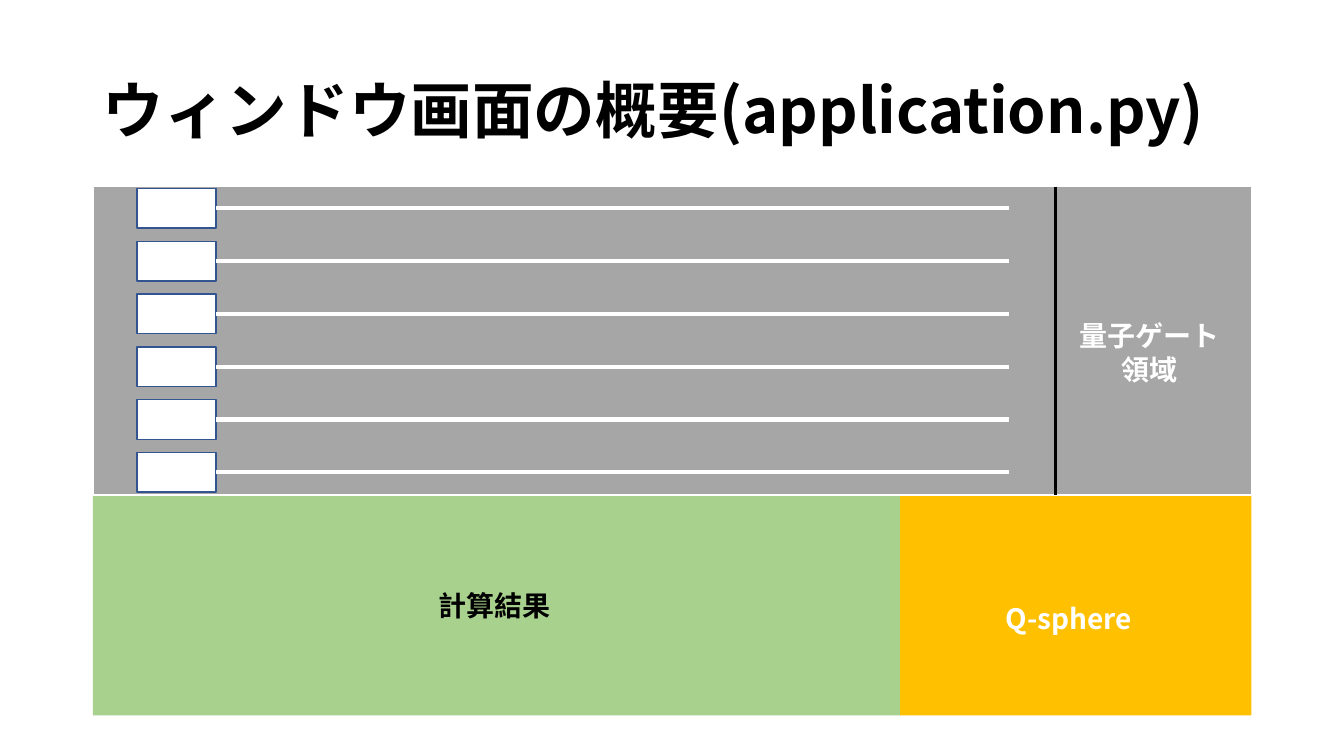
from pptx import Presentation
from pptx import util as u
from pptx.dml.color import RGBColor
from pptx.enum import shapes, text
from pptx.oxml.ns import qn
from lxml import etree

FONT = "Noto Sans CJK JP"
LEFT, TOP, MIDDLE, WIDTH = 2.34, 4.7, 12.48, 29.2
LOWER_HEIGHT, RESULT_WIDTH, DIVIDER_X = 5.55, 20.34, 26.42
QUBITS, QUBIT_LEFT, QUBIT_TOP, QUBIT_PITCH = 6, 3.45, 4.75, 1.33
QUBIT_WIDTH, QUBIT_HEIGHT, WIRE_END = 2, 1, 25.43


def color(value):
    """Turn a hex string into a colour."""
    return RGBColor.from_string(value)


def add_text(s, content, x, y, w, h, size=20, fill="000000",
             align=text.PP_ALIGN.LEFT, anchor=text.MSO_ANCHOR.TOP, spacing=1.0):
    """Add a bold text box with one paragraph per line of content."""
    tf = s.shapes.add_textbox(u.Cm(x), u.Cm(y), u.Cm(w), u.Cm(h)).text_frame
    tf.word_wrap = True
    tf.vertical_anchor = anchor
    tf.text = content
    for p in tf.paragraphs:
        p.alignment = align
        p.line_spacing = spacing
        for r in p.runs:
            r.font.size = u.Pt(size)
            r.font.bold = True
            r.font.color.rgb = color(fill)
            r.font.name = FONT
            etree.SubElement(r.font._element, qn("a:ea"), typeface=FONT)


def add_rect(s, x, y, w, h, fill, line=None):
    """Add a flat rectangle, outlined only when a line colour is given."""
    sp = s.shapes.add_shape(shapes.MSO_SHAPE.RECTANGLE,
                            u.Cm(x), u.Cm(y), u.Cm(w), u.Cm(h))
    sp.shadow.inherit = False
    sp.fill.solid()
    sp.fill.fore_color.rgb = color(fill)
    if line:
        sp.line.color.rgb = color(line)
        sp.line.width = u.Pt(1)
    else:
        sp.line.fill.background()
    return sp


def add_line(s, x1, y1, x2, y2, stroke, width):
    """Add a straight line without a shadow."""
    line = s.shapes.add_connector(shapes.MSO_CONNECTOR.STRAIGHT,
                                  u.Cm(x1), u.Cm(y1), u.Cm(x2), u.Cm(y2))
    line.line.color.rgb = color(stroke)
    line.line.width = u.Pt(width)
    etree.SubElement(line._element.spPr, qn("a:effectLst"))
    return line


def add_qubit(s, y):
    """Add a qubit box with the wire that leaves its right side."""
    box = add_rect(s, QUBIT_LEFT, y, QUBIT_WIDTH, QUBIT_HEIGHT, "FFFFFF", "325491")
    mid = y + QUBIT_HEIGHT / 2
    wire = add_line(s, QUBIT_LEFT + QUBIT_WIDTH, mid, WIRE_END, mid, "FFFFFF", 3)
    wire.begin_connect(box, 3)


def main():
    """Build the window overview slide."""
    prs = Presentation()
    prs.slide_width, prs.slide_height = u.Cm(33.87), u.Cm(19.05)
    s = prs.slides.add_slide(prs.slide_layouts[6])

    add_text(s, "ウィンドウ画面の概要(application.py)", LEFT, 1.01, WIDTH, 3.68,
             size=44, anchor=text.MSO_ANCHOR.MIDDLE, spacing=0.9)

    add_rect(s, LEFT + RESULT_WIDTH, MIDDLE, WIDTH - RESULT_WIDTH, LOWER_HEIGHT, "FFC000")
    add_rect(s, LEFT, MIDDLE, RESULT_WIDTH, LOWER_HEIGHT, "A9D18E")
    add_text(s, "計算結果", 10.8, 14.71, 3.42, 1.11)
    add_text(s, "Q-sphere", 25.1, 15.04, 4.04, 1.11, fill="FFFFFF")

    add_rect(s, LEFT, TOP, WIDTH, MIDDLE - TOP, "A6A6A6", "FFFFFF")
    add_line(s, DIVIDER_X + 0.18, TOP, DIVIDER_X + 0.18, MIDDLE, "000000", 2.25)
    add_text(s, "量子ゲート\n領域", 26.85, 7.9, 4.24, 1.96, fill="FFFFFF",
             align=text.PP_ALIGN.CENTER)
    for i in range(QUBITS):
        add_qubit(s, QUBIT_TOP + i * QUBIT_PITCH)

    prs.save("out.pptx")


if __name__ == "__main__":
    main()
